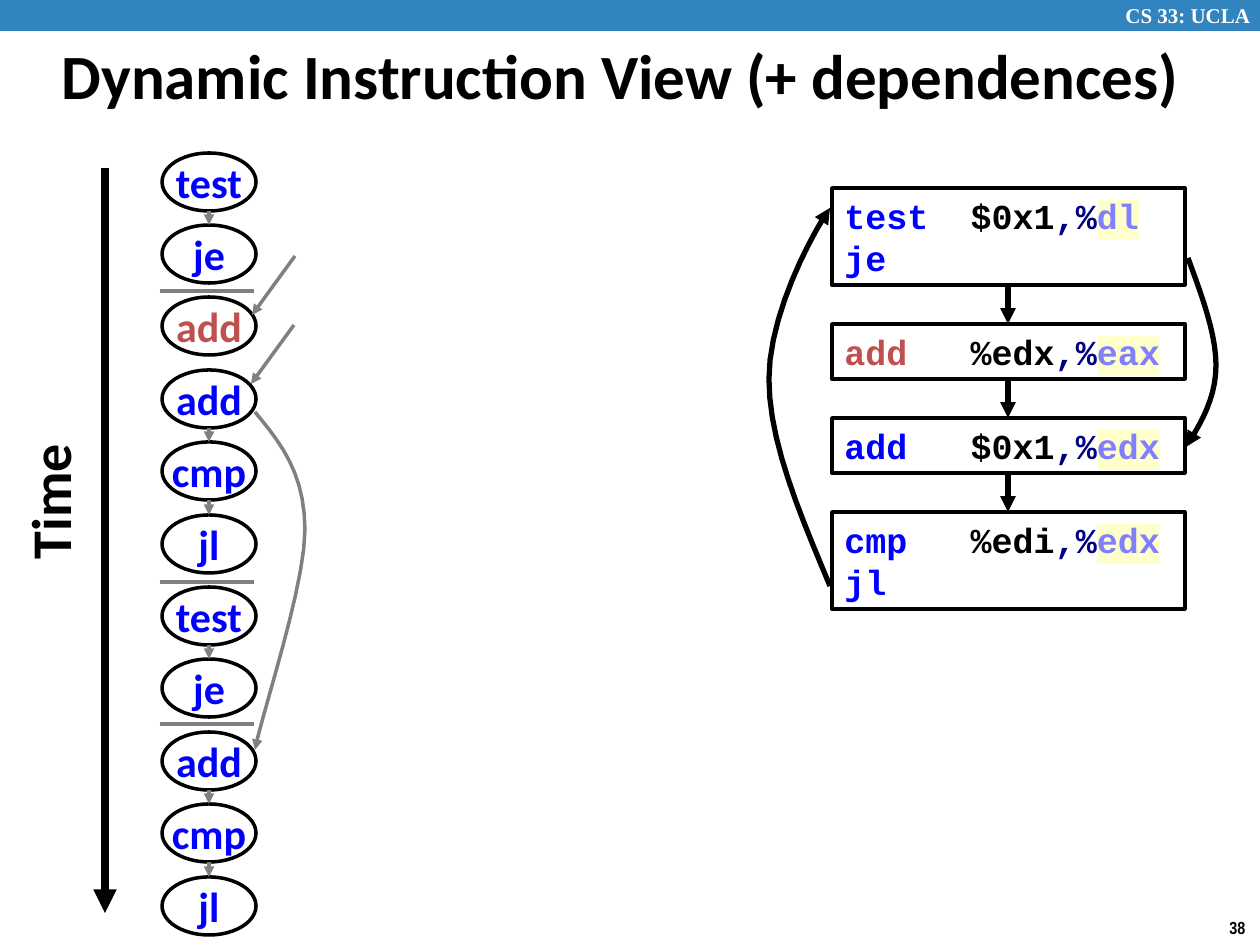
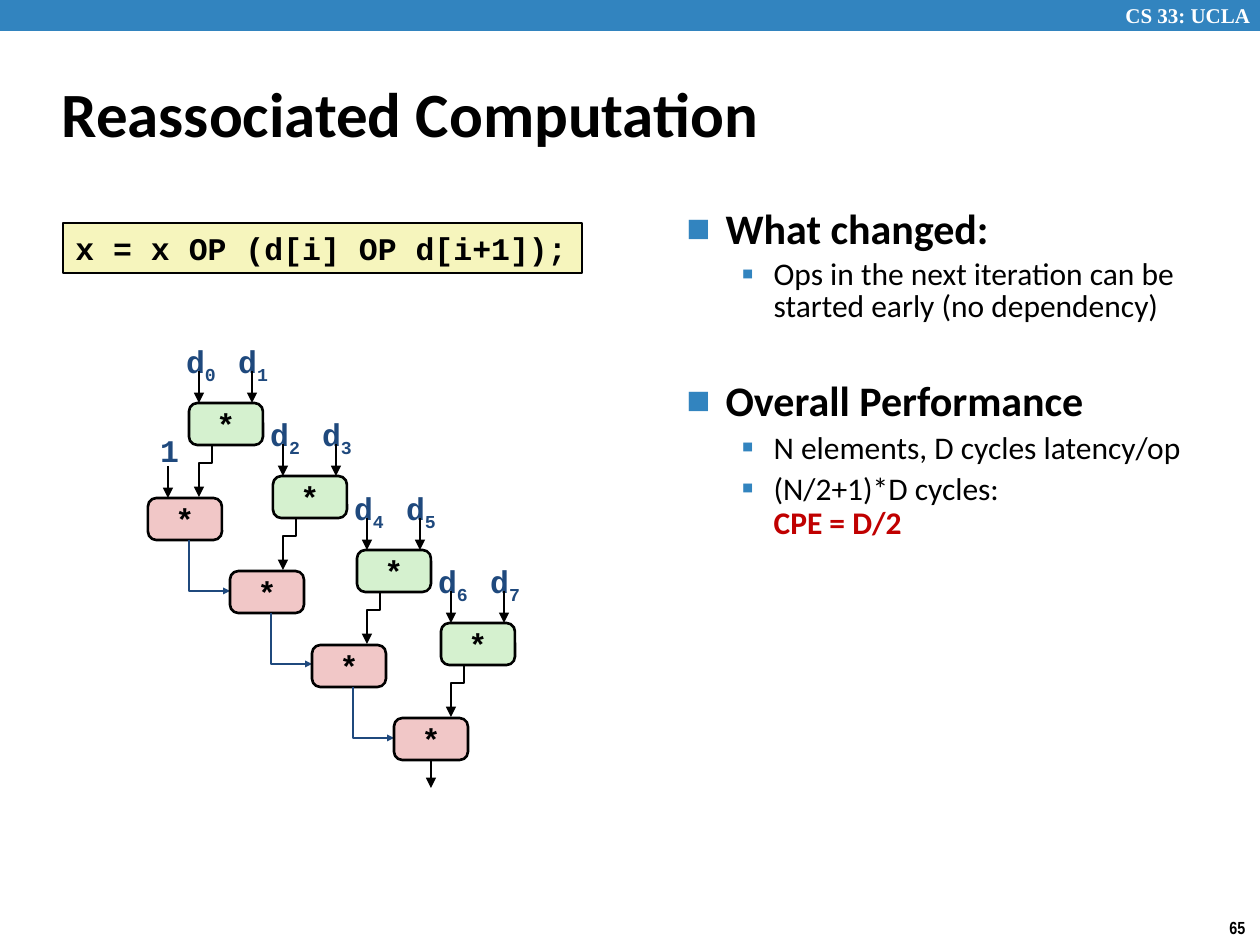
import lxml.etree
import pptx
import pptx.dml.color
import pptx.enum.shapes
import pptx.enum.text
import pptx.oxml.ns
import pptx.util

RGB = pptx.dml.color.RGBColor
SHAPE = pptx.enum.shapes.MSO_SHAPE
ALIGN = pptx.enum.text.PP_ALIGN
ANCHOR = pptx.enum.text.MSO_ANCHOR

BLACK = RGB(0x00, 0x00, 0x00)
WHITE = RGB(0xFF, 0xFF, 0xFF)
BAND = RGB(0x32, 0x84, 0xBF)
BLUE = RGB(0x00, 0x00, 0xFF)
BRICK = RGB(0xC0, 0x50, 0x4D)
GRAY = RGB(0x80, 0x80, 0x80)
NAVY = RGB(0x00, 0x00, 0x80)
LILAC = RGB(0x80, 0x80, 0xFF)
MARKER = RGB(0xFF, 0xFF, 0xCC)
INK = RGB(0x1F, 0x49, 0x7D)
ROSE = RGB(0xF1, 0xC7, 0xC7)
MINT = RGB(0xD5, 0xF1, 0xCF)
CREAM = RGB(0xF6, 0xF5, 0xBD)
RED = RGB(0xC0, 0x00, 0x00)

SANS, MONO = "Calibri", "Courier New"
SCALE = 914400 / 126


def px(n):
    return pptx.util.Emu(round(n * SCALE))


def child(parent, tag, **attrs):
    return lxml.etree.SubElement(parent, pptx.oxml.ns.qn(tag), attrs)


def bezier(start, *curves, steps=10):
    points = [start]
    for c1, c2, end in curves:
        p0 = points[-1]
        for k in range(1, steps + 1):
            t = k / steps
            u = 1 - t
            points.append(tuple(
                u**3 * a + 3 * u * u * t * b + 3 * u * t * t * c + t**3 * d
                for a, b, c, d in zip(p0, c1, c2, end)))
    return points


class Deck:
    def __init__(self):
        self.prs = pptx.Presentation()
        self.prs.slide_width = px(1260)
        self.prs.slide_height = px(945)
        self.s = None

    def slide(self, layout, title, box, number):
        self.s = self.prs.slides.add_slide(self.prs.slide_layouts[layout])
        self.shape(SHAPE.RECTANGLE, (0, 0, 1260, 31), BAND)
        self.text((1113, -4, 156, 38), "CS 33: UCLA", 12, WHITE, "Times New Roman", wrap=True)
        self.text((1217, 911, 43, 34), number, 10, BLACK, "Arial Narrow")
        tf = self.place(self.s.shapes.title, box)
        tf.vertical_anchor = ANCHOR.MIDDLE
        p = tf.paragraphs[0]
        p.alignment = ALIGN.LEFT
        self.run(p, title, 36)

    def place(self, sp, box):
        sp.left, sp.top, sp.width, sp.height = map(px, box)
        tf = sp.text_frame
        tf.word_wrap = True
        tf.auto_size = pptx.enum.text.MSO_AUTO_SIZE.NONE
        return tf

    def run(self, p, text, size, color=BLACK, font=SANS, bold=True, mark=None, sub=False):
        r = p.add_run()
        r.text = text
        r.font.size = pptx.util.Pt(size)
        r.font.bold = bold
        r.font.color.rgb = color
        rPr = r._r.get_or_add_rPr()
        if mark:
            child(child(rPr, "a:highlight"), "a:srgbClr", val=str(mark))
        if sub:
            rPr.set("baseline", "-25000")
        r.font.name = font

    def stroke(self, sp, color, width, arrow=None):
        sp.line.color.rgb = color
        sp.line.width = pptx.util.Pt(width)
        if arrow:
            child(sp.line._get_or_add_ln(), "a:tailEnd", type="triangle", w=arrow, len=arrow)

    def shape(self, kind, box, fill, width=0, label=None, size=18, color=BLACK, font=SANS):
        sp = self.s.shapes.add_shape(kind, *map(px, box))
        sp.shadow.inherit = False
        sp.fill.solid()
        sp.fill.fore_color.rgb = fill
        if width:
            self.stroke(sp, BLACK, width)
        else:
            sp.line.fill.background()
        if label:
            tf = sp.text_frame
            tf.word_wrap = False
            tf.vertical_anchor = ANCHOR.MIDDLE
            tf.paragraphs[0].alignment = ALIGN.CENTER
            self.run(tf.paragraphs[0], label, size, color, font)
        return sp

    def text(self, box, text, size, color, font, wrap=False, sub=None, inset=None, turn=0):
        sp = self.s.shapes.add_textbox(*map(px, box))
        sp.rotation = turn
        tf = sp.text_frame
        tf.word_wrap = wrap
        p = tf.paragraphs[0]
        if inset:
            tf.margin_left = tf.margin_right = tf.margin_top = tf.margin_bottom = px(inset)
            p.alignment = ALIGN.CENTER
        self.run(p, text, size, color, font)
        if sub:
            self.run(p, sub, size, color, font, sub=True)

    def code(self, box, lines, size, fill, width):
        sp = self.shape(SHAPE.RECTANGLE, box, fill, width)
        tf = sp.text_frame
        tf.word_wrap = False
        tf.vertical_anchor = ANCHOR.TOP
        for i, runs in enumerate(lines):
            p = tf.add_paragraph() if i else tf.paragraphs[0]
            p.alignment = ALIGN.LEFT
            for text, color, mark in runs:
                self.run(p, text, size, color, MONO, mark=mark)

    def line(self, x1, y1, x2, y2, color, width, arrow="med"):
        kind = pptx.enum.shapes.MSO_CONNECTOR.STRAIGHT
        sp = self.s.shapes.add_connector(kind, *map(px, (x1, y1, x2, y2)))
        self.stroke(sp, color, width, arrow)
        child(sp._element.spPr, "a:effectLst")

    def path_arrow(self, points, color, width, arrow="med"):
        points = [(px(x), px(y)) for x, y in points]
        fb = self.s.shapes.build_freeform(*points[0])
        fb.add_line_segments(points[1:], close=False)
        sp = fb.convert_to_shape()
        sp.shadow.inherit = False
        sp.fill.background()
        self.stroke(sp, color, width, arrow)

    def bullets(self, box, items):
        tf = self.place(self.s.placeholders[1], box)
        for i, (level, spacing, before, runs) in enumerate(items):
            p = tf.add_paragraph() if i else tf.paragraphs[0]
            p.level = level
            mark, percent, left, hang = (("■", 60, 39, 39), ("▪", 110, 87, 32))[level]
            pPr = p._p.get_or_add_pPr()
            pPr.set("marL", str(px(left)))
            pPr.set("indent", str(-px(hang)))
            child(child(pPr, "a:buClr"), "a:srgbClr", val=str(BAND))
            child(pPr, "a:buSzPct", val=str(percent * 1000))
            child(pPr, "a:buFont", typeface=SANS)
            child(pPr, "a:buChar", char=mark)
            p.line_spacing = spacing
            p.space_before = pptx.util.Pt(before)
            for k, (text, color, bold) in enumerate(runs):
                if k:
                    p.add_line_break()
                self.run(p, text, (24, 18)[level], color, bold=bold)


def dynamic_view(d):
    d.slide(5, "Dynamic Instruction View (+ dependences)", (49, 33, 1167, 82), "38")

    ops = "test je add add cmp jl test je add cmp jl".split()
    tops = [153 + 724 * i // 10 for i in range(len(ops))]
    for i, (op, top) in enumerate(zip(ops, tops)):
        d.shape(SHAPE.OVAL, (162, top, 94, 58), WHITE, 2, op, 24, BRICK if i == 2 else BLUE)
    for i in (0, 3, 4, 6, 8, 9):
        d.line(209, tops[i] + 58, 209, tops[i + 1], GRAY, 2)
    for y in (291, 582, 724):
        d.line(160, y, 254, y, GRAY, 2, None)
    for x, y in ((295, 256), (294, 325)):
        d.line(x, y, x - 43, y + 59, GRAY, 2)

    d.line(105, 168, 105, 913, BLACK, 4.5)
    d.text((-21, 460, 142, 81), "Time", 32, BLACK, SANS, turn=270)

    blocks = [("test", "  $0x1", "dl", "je", BLUE),
              ("add", "   %edx", "eax", None, BRICK),
              ("add", "   $0x1", "edx", None, BLUE),
              ("cmp", "   %edi", "edx", "jl", BLUE)]
    top = 188
    for i, (op, source, target, jump, color) in enumerate(blocks):
        lines = [[(op, color, None), (source, BLACK, None),
                  (",%", NAVY, None), (target, LILAC, MARKER)]]
        if jump:
            lines.append([(jump, BLUE, None)])
        height = 97 if jump else 55
        if i:
            d.line(1008, top - 39, 1008, top, BLACK, 3)
        d.code((832, top, 353, height), lines, 20, WHITE, 2)
        top += height + 39

    skip = bezier((1188, 258), ((1202, 296), (1216, 334), (1216, 365)),
                  ((1216, 397), (1202, 422), (1186, 447)))
    loop = bezier((830, 586), ((800, 514), (769, 442), (769, 379)),
                  ((769, 316), (810, 237), (830, 208)))
    carry = bezier((255, 412), ((280, 442), (305, 473), (305, 530)),
                   ((305, 587), (262, 713), (255, 750)))
    d.path_arrow(skip, BLACK, 3)
    d.path_arrow(loop, BLACK, 3)
    d.path_arrow(carry, GRAY, 2)


def multiply(d, x, y, fill):
    sp = d.shape(SHAPE.ROUNDED_RECTANGLE, (x, y, 74, 42), fill, 1.5, "*", 18, BLACK, MONO)
    sp.adjustments[0] = 0.2


def reassociated(d):
    d.slide(1, "Reassociated Computation", (49, 60, 1046, 105), "65")
    d.bullets((674, 204, 544, 719), [
        (0, 0.85, 0, [("What changed:", BLACK, True)]),
        (1, 0.85, 4, [("Ops in the next iteration can be started early (no dependency)",
                       BLACK, False)]),
        (0, 0.85, 33, [("Overall Performance", BLACK, True)]),
        (1, 0.9, 4, [("N elements, D cycles latency/op", BLACK, False)]),
        (1, 0.9, 4, [("(N/2+1)*D cycles:", BLACK, False), ("CPE = D/2", RED, True)]),
    ])
    d.code((63, 223, 519, 50), [[("x = x OP (d[i] OP d[i+1]);", BLACK, None)]], 18, CREAM, 1)

    d.line(431, 756, 431, 788, BLACK, 1.5)
    d.text((154, 425, 31, 50), "1", 18, INK, MONO, inset=6)
    d.line(168, 466, 168, 498, BLACK, 1.5)
    for i in range(4):
        drop = 147 * i // 2
        x, y = 148 + 82 * i, 498 + drop
        multiply(d, x, y, ROSE)
        if i < 3:
            d.path_arrow([(x + 41, y + 42), (x + 41, y + 93), (x + 82, y + 93)],
                         INK, 1.5, "sm")
        x, y = 189 + 84 * i, 403 + drop
        multiply(d, x, y, MINT)
        for k in range(2):
            d.text((x - 10 + 52 * k, y - 67, 44, 50), "d", 18, INK, MONO,
                   sub=str(2 * i + k), inset=6)
            d.line(x + 10 + 53 * k, y - 32, x + 10 + 53 * k, y, BLACK, 1.5)
        d.path_arrow([(x + 23, y + 43), (x + 23, y + 60), (x + 10, y + 60), (x + 10, y + 94)],
                     BLACK, 1.5)


def main():
    d = Deck()
    dynamic_view(d)
    reassociated(d)
    d.prs.save("out.pptx")


if __name__ == "__main__":
    main()
